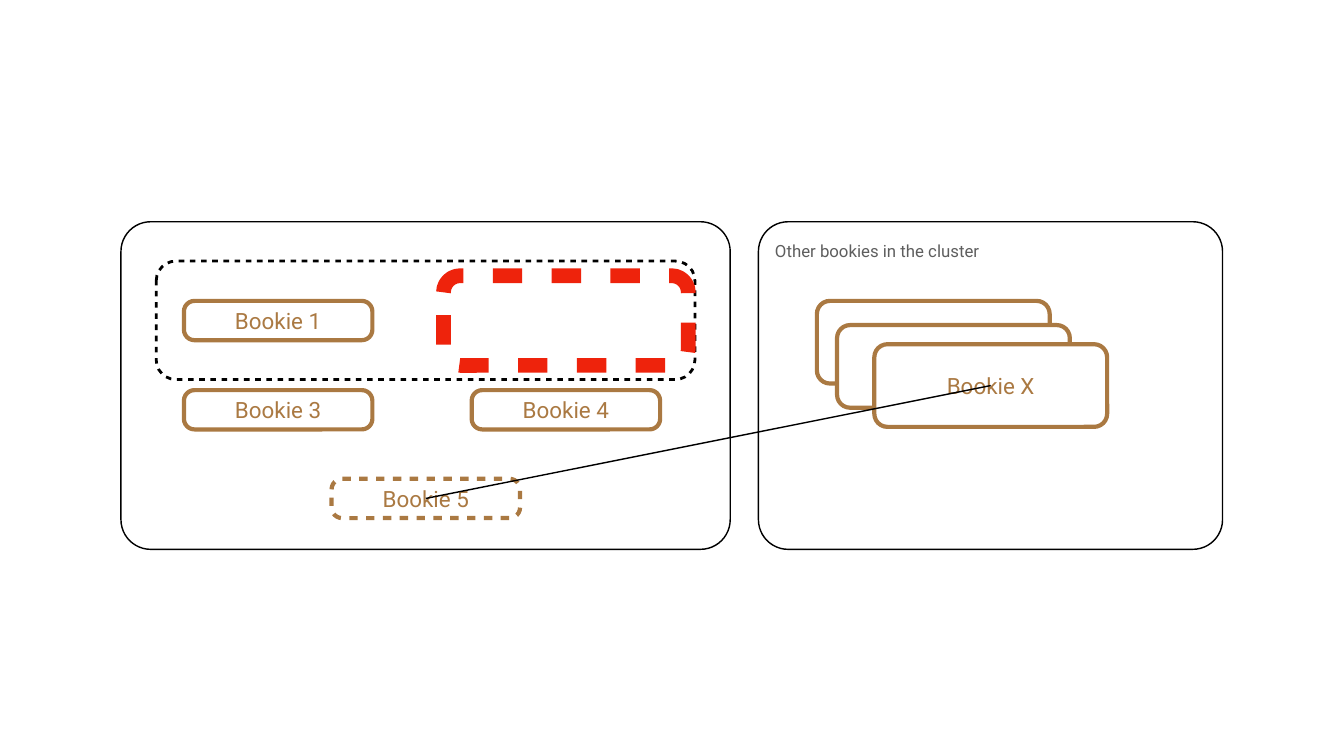
from lxml import etree
from pptx import Presentation
from pptx.dml.color import RGBColor
from pptx.enum.shapes import MSO_CONNECTOR, MSO_SHAPE
from pptx.enum.text import MSO_ANCHOR, PP_ALIGN
from pptx.oxml.ns import qn
from pptx.util import Inches, Pt

ROUNDED = MSO_SHAPE.ROUNDED_RECTANGLE
STRAIGHT = MSO_CONNECTOR.STRAIGHT
MIDDLE = MSO_ANCHOR.MIDDLE
CENTER = PP_ALIGN.CENTER

FONT = "Roboto"
BLACK, WHITE, BROWN, RED, GRAY = "000000", "FFFFFF", "AA7942", "EE230C", "5E5E5E"
BOOKIE_SIZE = (3.74, 0.78)
CARD_SIZE = (4.62, 1.64)


def rgb(value):
    """Turn a hex string into a colour."""
    return RGBColor.from_string(value)


def style_line(line, color, width, dashed=False):
    """Set colour, width and an optional even dash on a line."""
    line.color.rgb = rgb(color)
    line.width = Pt(width)
    if dashed:
        dash = etree.SubElement(line._get_or_add_ln(), qn("a:custDash"))
        etree.SubElement(dash, qn("a:ds"), d="200000", sp="200000")


def write_text(shape, text, size, color, wrap=True):
    """Write one centred line of text into a shape."""
    frame = shape.text_frame
    frame.word_wrap = wrap
    frame.vertical_anchor = MIDDLE
    frame.margin_left = frame.margin_right = Inches(0.06)
    frame.margin_top = frame.margin_bottom = Inches(0.06)
    paragraph = frame.paragraphs[0]
    paragraph.alignment = CENTER
    run = paragraph.add_run()
    run.text = text
    run.font.name = FONT
    run.font.size = Pt(size)
    run.font.color.rgb = rgb(color)


def add_box(slide, box, radius, color, width, fill=None, dashed=False):
    """Add an outlined rounded rectangle whose corner radius is in inches."""
    shape = slide.shapes.add_shape(ROUNDED, *map(Inches, box))
    shape.shadow.inherit = False
    shape.adjustments[0] = radius / min(box[2:])
    if fill:
        shape.fill.solid()
        shape.fill.fore_color.rgb = rgb(fill)
    else:
        shape.fill.background()
    style_line(shape.line, color, width, dashed)
    return shape


def add_bookie(slide, name, left, top, dashed=False):
    """Add a labelled bookie of the ensemble."""
    shape = add_box(slide, (left, top, *BOOKIE_SIZE), 0.21, BROWN, 6, dashed=dashed)
    write_text(shape, name, 32, BROWN)


def add_card_stack(slide):
    """Add the stacked cards and label the front one."""
    for left, top in ((16.21, 5.97), (16.61, 6.45), (17.35, 6.83)):
        card = add_box(slide, (left, top, *CARD_SIZE), 0.26, BROWN, 6, fill=WHITE)
    write_text(card, "Bookie X", 32, BROWN)


def add_caption(slide, text, box):
    """Add a small gray caption."""
    caption = slide.shapes.add_textbox(*map(Inches, box))
    write_text(caption, text, 24, GRAY, wrap=False)


def add_link(slide, start, end):
    """Add a thin straight connector between two points."""
    link = slide.shapes.add_connector(STRAIGHT, *map(Inches, (*start, *end)))
    style_line(link.line, BLACK, 2)
    etree.SubElement(link._element.spPr, qn("a:effectLst"))


def main():
    """Build the bookie replacement slide."""
    presentation = Presentation()
    presentation.slide_width = Inches(26.67)
    presentation.slide_height = Inches(15)
    slide = presentation.slides.add_slide(presentation.slide_layouts[6])

    add_box(slide, (2.4, 4.4, 12.09, 6.5), 0.59, BLACK, 2)
    add_bookie(slide, "Bookie 1", 3.65, 5.97)
    add_bookie(slide, "Bookie 3", 3.65, 7.74)
    add_bookie(slide, "Bookie 4", 9.36, 7.74)
    add_bookie(slide, "Bookie 5", 6.58, 9.5, dashed=True)

    add_box(slide, (15.05, 4.4, 9.21, 6.5), 0.59, BLACK, 2)
    add_caption(slide, "Other bookies in the cluster", (15.29, 4.73, 4.23, 0.5))
    add_card_stack(slide)
    add_link(slide, (19.66, 7.65), (8.45, 9.89))

    add_box(slide, (3.1, 5.18, 10.69, 2.35), 0.39, BLACK, 4, dashed=True)
    add_box(slide, (8.8, 5.47, 4.86, 1.78), 0.33, RED, 21, dashed=True)
    presentation.save("out.pptx")


if __name__ == "__main__":
    main()
